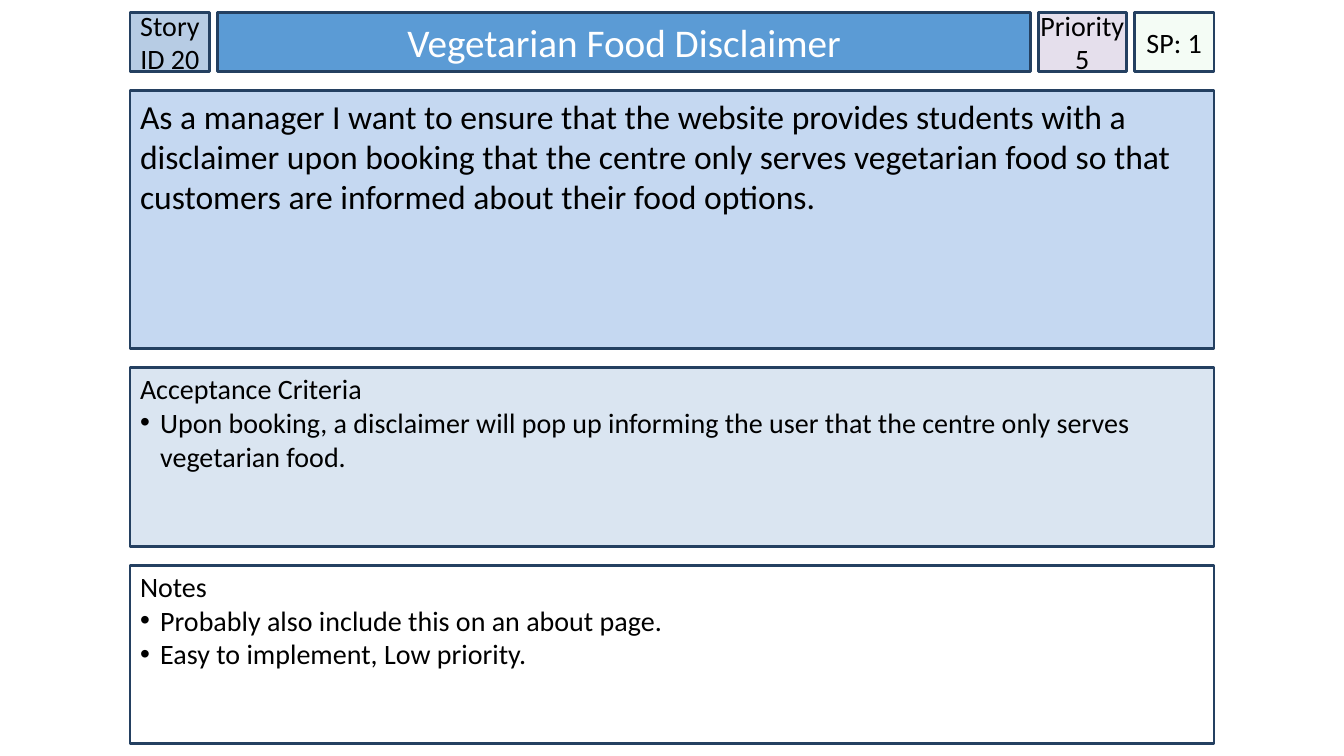
from lxml.etree import SubElement
from pptx import Presentation
from pptx.dml.color import RGBColor
from pptx.enum.shapes import MSO_SHAPE
from pptx.enum.text import MSO_ANCHOR, MSO_AUTO_SIZE, PP_ALIGN
from pptx.oxml.ns import qn
from pptx.util import Inches, Pt

COLOURS = {
    "outline": "244061", "text": "000000", "title text": "FFFFFF",
    "story id": "B7CCE4", "title": "5B9BD5", "priority": "E5DFEC", "points": "CCF0CD",
    "story": "C5D8F1", "criteria": "DAE5F1", "notes": "FFFFFF",
}
FONT = "Calibri"
BULLET = "\u2022"
BULLET_INDENT = Inches(0.2)

# Card grid, in inches: a header row of cells above three full-width panels
CARD_LEFT, CARD_TOP, CARD_WIDTH = 1.29, 0.12, 10.75
HEADER_HEIGHT, COLUMN_GAP, ROW_GAP = 0.59, 0.08, 0.19
SMALL_CELL, PRIORITY_CELL = 0.79, 0.87
TITLE_CELL = CARD_WIDTH - 2 * SMALL_CELL - PRIORITY_CELL - 3 * COLUMN_GAP


def style_box(box, name, place, margins, anchor):
    """Place a box and give it its fill, outline and text frame settings."""
    box.left, box.top, box.width, box.height = [Inches(length) for length in place]
    box.fill.solid()
    box.fill.fore_color.rgb = RGBColor.from_string(COLOURS[name])
    box.line.color.rgb = RGBColor.from_string(COLOURS["outline"])
    box.line.width = Pt(2)
    frame = box.text_frame
    frame.word_wrap = True
    frame.auto_size = MSO_AUTO_SIZE.NONE
    frame.vertical_anchor = anchor
    side, top = margins
    frame.margin_left = frame.margin_right = Inches(side)
    frame.margin_top, frame.margin_bottom = Inches(top), Inches(0.05)


def write_lines(box, lines, size, align, colour="text"):
    """Write one paragraph per line; a line that starts with a bullet is a list item."""
    for index, line in enumerate(lines):
        frame = box.text_frame
        para = frame.add_paragraph() if index else frame.paragraphs[0]
        para.alignment = align
        if line.startswith(BULLET):
            properties = para._p.get_or_add_pPr()
            properties.set("marL", str(BULLET_INDENT))
            properties.set("indent", str(-BULLET_INDENT))
            bullet_colour = SubElement(properties, qn("a:buClr"))
            SubElement(bullet_colour, qn("a:srgbClr"), val=COLOURS["text"])
            SubElement(properties, qn("a:buFont"), typeface="Arial")
            SubElement(properties, qn("a:buChar"), char=BULLET)
        span = para.add_run()
        span.text = line.removeprefix(BULLET)
        span.font.name = FONT
        span.font.size = Pt(size)
        span.font.color.rgb = RGBColor.from_string(COLOURS[colour])


deck = Presentation()
deck.slide_width, deck.slide_height = Inches(13.33), Inches(7.5)
page = deck.slides.add_slide(deck.slide_layouts[5])

header_cells = [
    ("story id", SMALL_CELL, ["Story ID 20"]),
    ("title", TITLE_CELL, ["Vegetarian Food Disclaimer"]),
    ("priority", PRIORITY_CELL, ["Priority", "5"]),
    ("points", SMALL_CELL, ["SP: 1"]),
]
left = CARD_LEFT
for name, width, lines in header_cells:
    place = (left, CARD_TOP, width, HEADER_HEIGHT)
    if name == "title":
        box = page.shapes.title
        style_box(box, name, place, (0.1, 0.05), MSO_ANCHOR.MIDDLE)
        write_lines(box, lines, 28, PP_ALIGN.CENTER, "title text")
    else:
        box = page.shapes.add_shape(MSO_SHAPE.RECTANGLE, 0, 0, 0, 0)
        box.shadow.inherit = False
        style_box(box, name, place, (0, 0.05), MSO_ANCHOR.MIDDLE)
        write_lines(box, lines, 20, PP_ALIGN.CENTER)
    if name == "points":
        fill_colour = box._element.spPr.find(qn("a:solidFill")).find(qn("a:srgbClr"))
        SubElement(fill_colour, qn("a:alpha"), val="20000")
    left += width + COLUMN_GAP

panels = [
    ("story", 2.56, 0.05, 24, [
        "As a manager I want to ensure that the website provides students with a "
        "disclaimer upon booking that the centre only serves vegetarian food so that "
        "customers are informed about their food options."]),
    ("criteria", 1.77, 0.04, 20, [
        "Acceptance Criteria",
        BULLET + "Upon booking, a disclaimer will pop up informing the user that "
        "the centre only serves vegetarian food."]),
    ("notes", 1.77, 0.04, 20, [
        "Notes",
        BULLET + "Probably also include this on an about page.",
        BULLET + "Easy to implement, Low priority."]),
]
top = CARD_TOP + HEADER_HEIGHT + ROW_GAP
for name, height, top_margin, size, lines in panels:
    box = page.shapes.add_shape(MSO_SHAPE.RECTANGLE, 0, 0, 0, 0)
    box.shadow.inherit = False
    style_box(box, name, (CARD_LEFT, top, CARD_WIDTH, height), (0.1, top_margin), MSO_ANCHOR.TOP)
    write_lines(box, lines, size, PP_ALIGN.LEFT)
    top += height + ROW_GAP

deck.save("out.pptx")
